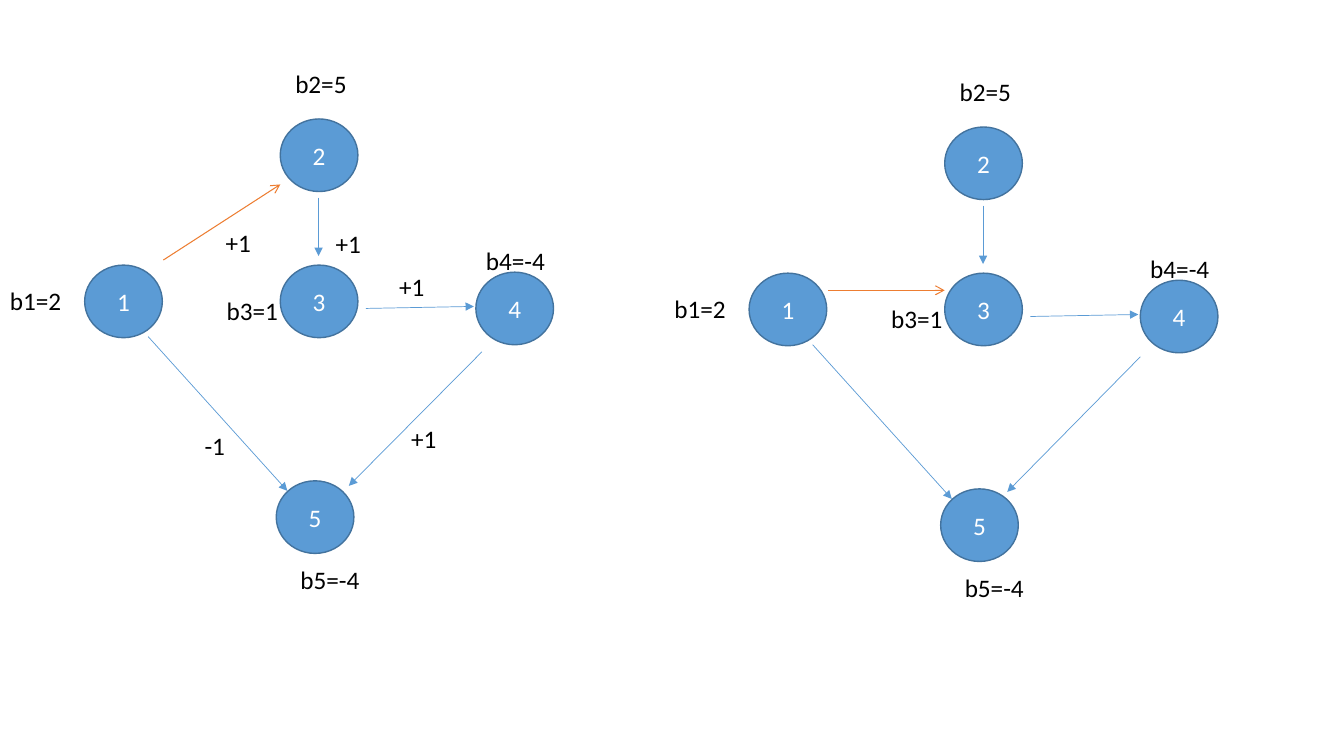
from dataclasses import dataclass

from lxml import etree
from pptx import Presentation
from pptx.dml.color import RGBColor
from pptx.enum import shapes, text
from pptx.oxml import ns
from pptx.util import Inches, Pt


@dataclass(frozen=True)
class Theme:
    font: str = "Calibri"
    size: int = 18
    node: str = "5B9BD5"
    rim: str = "43739E"
    new: str = "ED7D31"
    ink: str = "000000"
    white: str = "FFFFFF"


THEME = Theme()

# Left and top of each node in the first graph
NODES = {"1": (0.84, 2.63), "5": (2.74, 4.77), "3": (2.78, 2.63),
         "2": (2.78, 1.18), "4": (4.72, 2.7)}
# Start and end of the edges that both graphs share
EDGES = [((1.47, 3.34), (2.85, 4.87)),
         ((3.16, 1.96), (3.16, 2.54)),
         ((3.63, 3.06), (4.7, 3.04))]
# Node balances: wording, left, top, width
TAGS = [("b5=-4", 2.88, 5.55, 0.79), ("b3=1", 2.15, 2.88, 0.72),
        ("b2=5", 2.83, 0.63, 0.72), ("b4=-4", 4.72, 2.38, 0.79),
        ("b1=2", 0, 2.78, 0.72)]
# Changes of flow along the cycle in the first graph
FLOWS = [("+1", 2.14, 2.21, 0.46), ("+1", 3.23, 2.22, 0.46),
         ("+1", 3.86, 2.64, 0.46), ("+1", 3.98, 4.15, 0.46),
         ("-1", 1.93, 4.22, 0.41)]


def color(code):
    return RGBColor.from_string(code)


def write(frame, words, ink):
    frame.text = words
    font = frame.paragraphs[0].runs[0].font
    font.name = THEME.font
    font.size = Pt(THEME.size)
    font.color.rgb = color(ink)


def add_node(slide, name, x, y):
    node = slide.shapes.add_shape(
        shapes.MSO_SHAPE.OVAL, Inches(x), Inches(y), Inches(0.77), Inches(0.72))
    node.shadow.inherit = False
    node.fill.solid()
    node.fill.fore_color.rgb = color(THEME.node)
    node.line.color.rgb = color(THEME.rim)
    node.line.width = Pt(1)
    frame = node.text_frame
    frame.vertical_anchor = text.MSO_ANCHOR.MIDDLE
    write(frame, name, THEME.white)
    frame.paragraphs[0].alignment = text.PP_ALIGN.CENTER


def add_label(slide, words, x, y, width):
    box = slide.shapes.add_textbox(
        Inches(x), Inches(y), Inches(width), Inches(0.4))
    frame = box.text_frame
    frame.word_wrap = False
    frame.auto_size = text.MSO_AUTO_SIZE.SHAPE_TO_FIT_TEXT
    write(frame, words, THEME.ink)


def add_edge(slide, start, end, ink=THEME.node, width=0.5, head="triangle"):
    edge = slide.shapes.add_connector(
        shapes.MSO_CONNECTOR.STRAIGHT, *map(Inches, (*start, *end)))
    edge.line.color.rgb = color(ink)
    edge.line.width = Pt(width)
    etree.SubElement(edge.line._get_or_add_ln(), ns.qn("a:tailEnd"), type=head)
    etree.SubElement(edge._element.spPr, ns.qn("a:effectLst"))


def add_graph(slide, dx, dy, sink, new):
    for name, (x, y) in NODES.items():
        add_node(slide, name, x + dx, y + dy)
    for (x1, y1), (x2, y2) in EDGES:
        add_edge(slide, (x1 + dx, y1 + dy), (x2 + dx, y2 + dy))
    for words, x, y, width in TAGS:
        add_label(slide, words, x + dx, y + dy, width)
    # Edge from node 4 to node 5, then the entering edge
    add_edge(slide, *sink)
    add_edge(slide, *new, ink=THEME.new, width=0.75, head="arrow")


def main():
    deck = Presentation()
    deck.slide_width = Inches(13.33)
    deck.slide_height = Inches(7.5)
    slide = deck.slides.add_slide(deck.slide_layouts[6])

    # First graph, with its flow changes
    add_graph(slide, 0, 0, sink=((4.78, 3.49), (3.46, 4.82)),
              new=((1.62, 2.58), (2.78, 1.83)))
    for flow in FLOWS:
        add_label(slide, *flow)

    # Second graph
    add_graph(slide, 6.59, 0.08, sink=((11.31, 3.54), (9.99, 4.88)),
              new=((8.21, 2.88), (9.37, 2.88)))

    deck.save("out.pptx")


if __name__ == "__main__":
    main()
